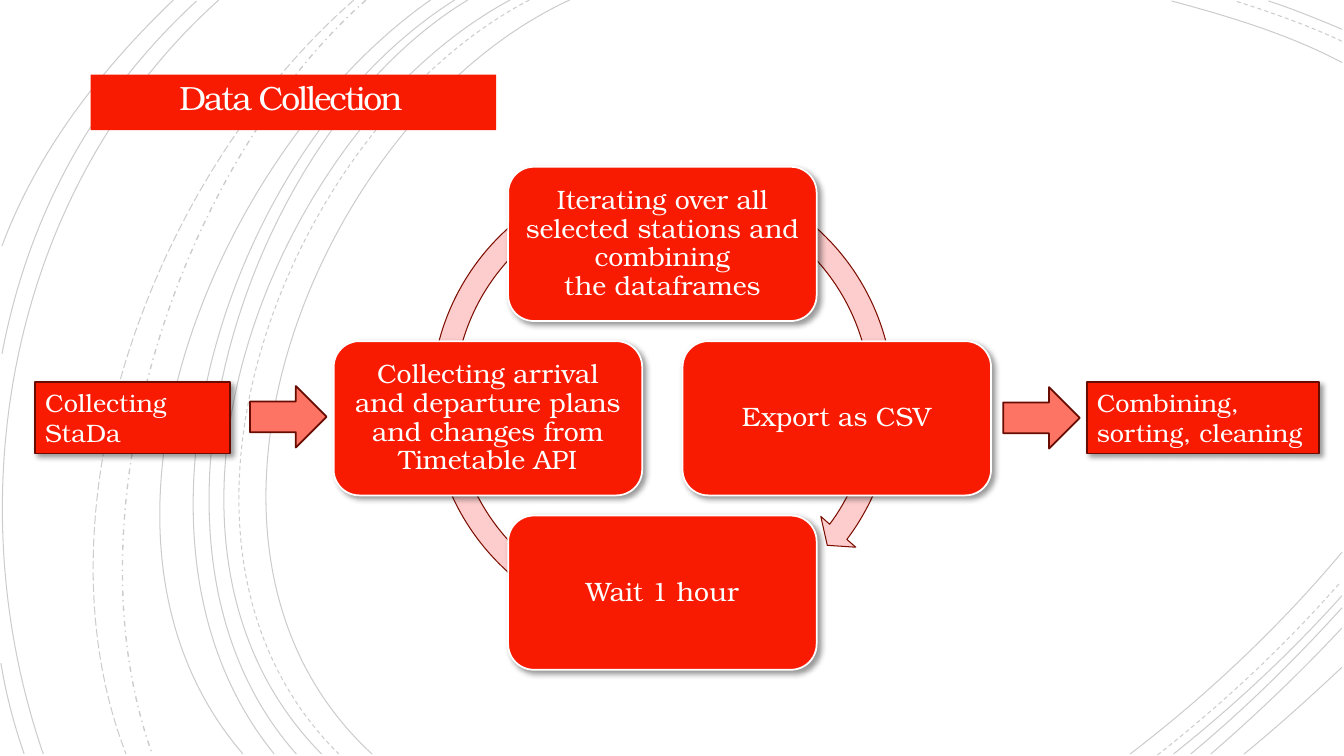
import pptx
import pptx.util
from lxml import etree
from pptx.dml.color import RGBColor
from pptx.enum.dml import MSO_LINE
from pptx.enum.shapes import MSO_SHAPE
from pptx.enum.text import MSO_ANCHOR, PP_ALIGN
from pptx.oxml.ns import qn
from pptx.util import Inches

FONT = "TeX Gyre Bonum"
RED = RGBColor(0xF8, 0x1B, 0x02)
DARK_RED = RGBColor(0x68, 0x0B, 0x01)
ARROW_RED = RGBColor(0xFE, 0x74, 0x64)
CYCLE_PINK = RGBColor(0xFC, 0xCD, 0xCC)
CYCLE_EDGE = RGBColor(0x7C, 0x0D, 0x01)
WHITE = RGBColor(0xFF, 0xFF, 0xFF)
TITLE_WHITE = RGBColor(0xFF, 0xFE, 0xFF)
BLACK = RGBColor(0, 0, 0)

presentation = pptx.Presentation()
presentation.slide_width = Inches(13.33)
presentation.slide_height = Inches(7.5)
slide = presentation.slides.add_slide(presentation.slide_layouts[6])


def add_block(kind, left, top, width, height, fill, line=None, line_width=1.25, shadow=False):
    shape = slide.shapes.add_shape(kind, Inches(left), Inches(top), Inches(width), Inches(height))
    shape.shadow.inherit = False
    shape.fill.solid()
    shape.fill.fore_color.rgb = fill
    if line is None:
        shape.line.fill.background()
    else:
        shape.line.color.rgb = line
        shape.line.width = pptx.util.Pt(line_width)
    if shadow:
        effects = shape._element.spPr.find(qn("a:effectLst"))
        outer = etree.SubElement(effects, qn("a:outerShdw"), blurRad="50800", dist="38100",
                                 dir="2700000", algn="tl", rotWithShape="0")
        color = etree.SubElement(outer, qn("a:srgbClr"), val="000000")
        etree.SubElement(color, qn("a:alpha"), val="40000")
    return shape


def write_text(shape, text, size, color, align, anchor, spacing=1.0):
    frame = shape.text_frame
    frame.word_wrap = True
    frame.vertical_anchor = anchor
    frame.text = text
    for paragraph in frame.paragraphs:
        paragraph.alignment = align
        paragraph.line_spacing = spacing
        for run in paragraph.runs:
            run.font.name = FONT
            run.font.size = pptx.util.Pt(size)
            run.font.color.rgb = color


# Background arcs: start, two control points, end, dash style
SOLID, DASH = MSO_LINE.SOLID, MSO_LINE.DASH
arcs = [
    ((5.65, 0), (3.15, 1.15), (1.43, 5.4), (3.69, 7.48), SOLID),
    ((13.31, 0.62), (12.78, 0.34), (12.18, 0.16), (11.62, 0.01), SOLID),
    ((11.21, 7.48), (11.97, 6.9), (12.69, 6.22), (13.31, 5.48), SOLID),
    ((5.25, 0), (2.85, 1.25), (1.23, 5.37), (3.36, 7.48), DASH),
    ((13.31, 0.41), (12.97, 0.25), (12.6, 0.12), (12.25, 0.01), DASH),
    ((11.48, 7.49), (12.13, 6.98), (12.75, 6.4), (13.3, 5.77), DASH),
    ((5.06, 0), (2.7, 1.27), (1.1, 5.37), (3.19, 7.48), SOLID),
    ((13.31, 0.29), (13.07, 0.19), (12.83, 0.09), (12.58, 0.01), SOLID),
    ((11.64, 7.48), (12.23, 7.01), (12.8, 6.48), (13.31, 5.91), SOLID),
    ((4.64, 0), (2.44, 1.33), (1.1, 5.41), (2.94, 7.48), SOLID),
    ((11.81, 7.48), (12.34, 7.04), (12.84, 6.55), (13.31, 6.03), SOLID),
    ((4.51, 0), (2.31, 1.38), (0.97, 5.33), (2.72, 7.48), SOLID),
    ((12.01, 7.48), (12.46, 7.09), (12.9, 6.67), (13.31, 6.23), SOLID),
    ((4.27, 0), (2.17, 1.47), (0.53, 5.29), (2.41, 7.48), SOLID),
    ((12.34, 7.48), (12.67, 7.21), (12.99, 6.92), (13.31, 6.62), SOLID),
    ((3.63, 0), (1.76, 1.66), (0.65, 5.09), (1.51, 7.48), MSO_LINE.DASH_DOT),
    ((3.51, 0), (1.57, 1.69), (0.29, 4.99), (1.25, 7.48), MSO_LINE.LONG_DASH),
    ((2.17, 0), (0.11, 1.85), (-0.46, 4.9), (0.43, 7.48), SOLID),
    ((1.95, 0.01), (0.92, 0.96), (0.28, 2.14), (0.02, 3.51), SOLID),
    ((0.01, 6.58), (0.06, 6.89), (0.14, 7.19), (0.24, 7.48), SOLID),
    ((1.72, 0), (1, 0.69), (0.37, 1.5), (0.02, 2.44), SOLID),
]
for *controls, dash in arcs:
    points = [(Inches(x), Inches(y)) for x, y in controls]
    builder = slide.shapes.build_freeform(*points[0])
    builder.add_line_segments(points[1:], close=False)
    arc = builder.convert_to_shape()
    # Turn the three segments into one Bézier curve
    segments = list(arc._element.iter(qn("a:lnTo")))
    curve = etree.SubElement(segments[0].getparent(), qn("a:cubicBezTo"))
    for segment in segments:
        curve.append(segment[0])
        segment.getparent().remove(segment)
    arc.shadow.inherit = False
    arc.fill.background()
    arc.line.color.rgb = BLACK
    arc.line.width = pptx.util.Pt(1 if dash == MSO_LINE.DASH_DOT else 0.75)
    arc.line.dash_style = dash
    line_color = arc._element.spPr.find(qn("a:ln")).find(".//" + qn("a:srgbClr"))
    etree.SubElement(line_color, qn("a:alpha"), val="20000")

# Title on its red band
add_block(MSO_SHAPE.RECTANGLE, 0.9, 0.74, 4.02, 0.55, RED)
title = slide.shapes.add_textbox(Inches(0.66), Inches(0.72), Inches(4.45), Inches(0.44))
title.text_frame.margin_top = title.text_frame.margin_bottom = 0
write_text(title, "Data Collection", 24, TITLE_WHITE, PP_ALIGN.CENTER, MSO_ANCHOR.BOTTOM, 0.85)
title.text_frame.paragraphs[0].runs[0].font._element.set("spc", "-150")

# Steps before and after the cycle
for left, width, text in [(0.35, 1.93, "Collecting\nStaDa"),
                          (10.78, 2.3, "Combining, sorting, cleaning")]:
    step_box = add_block(MSO_SHAPE.RECTANGLE, left, 3.79, width, 0.71, RED, DARK_RED, shadow=True)
    write_text(step_box, text, 18, WHITE, PP_ALIGN.LEFT, MSO_ANCHOR.TOP)
for left, top in [(9.95, 3.84), (2.48, 3.83)]:
    add_block(MSO_SHAPE.RIGHT_ARROW, left, top, 0.76, 0.61, ARROW_RED, DARK_RED)

# Circular arrow behind the cycle
cycle_arrow = add_block(MSO_SHAPE.CIRCULAR_ARROW, 4.16, 1.56, 4.82, 4.82, CYCLE_PINK, CYCLE_EDGE, 0.75)
cycle_arrow.rotation = 180
for index, value in enumerate([0.047, 2.729, 130.093, 179.107, 0.048]):
    cycle_arrow.adjustments[index] = value

# Cycle stages, placed around the centre
CENTER_X, CENTER_Y, RADIUS = 6.57, 4.15, 1.73
STAGE_WIDTH, STAGE_HEIGHT = 3.06, 1.53
stages = [
    (0, -1, "Iterating over all selected stations and combining\vthe dataframes"),
    (1, 0, "Export as CSV"),
    (0, 1, "Wait 1 hour"),
    (-1, 0, "Collecting arrival and departure plans and changes from Timetable API"),
]
for across, down, text in stages:
    stage = add_block(MSO_SHAPE.ROUNDED_RECTANGLE,
                      CENTER_X + across * RADIUS - STAGE_WIDTH / 2,
                      CENTER_Y + down * RADIUS - STAGE_HEIGHT / 2,
                      STAGE_WIDTH, STAGE_HEIGHT, RED, WHITE, shadow=True)
    frame = stage.text_frame
    frame.margin_left = frame.margin_right = Inches(0.1)
    write_text(stage, text, 19, WHITE, PP_ALIGN.CENTER, MSO_ANCHOR.MIDDLE, 0.9)

presentation.save("out.pptx")
